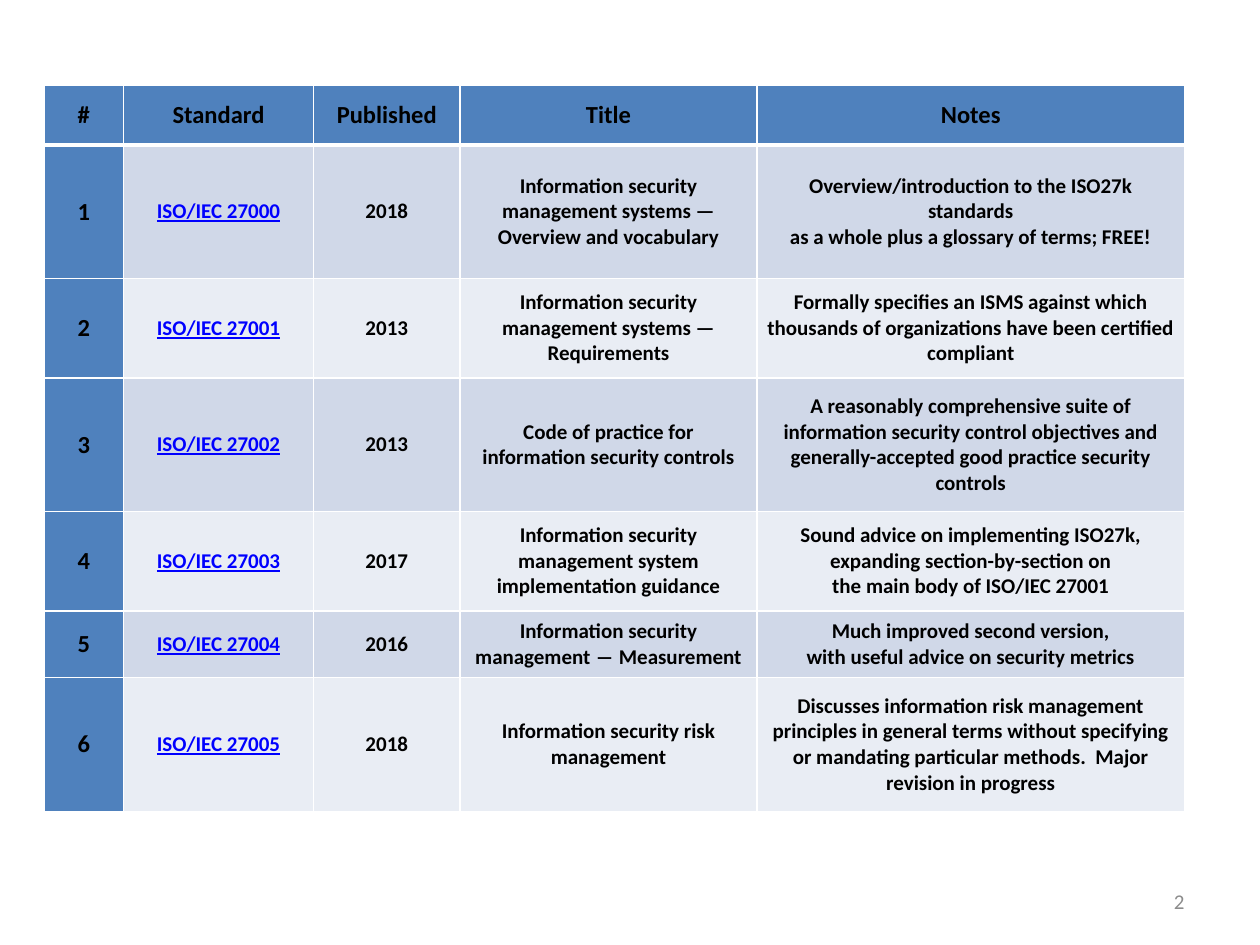
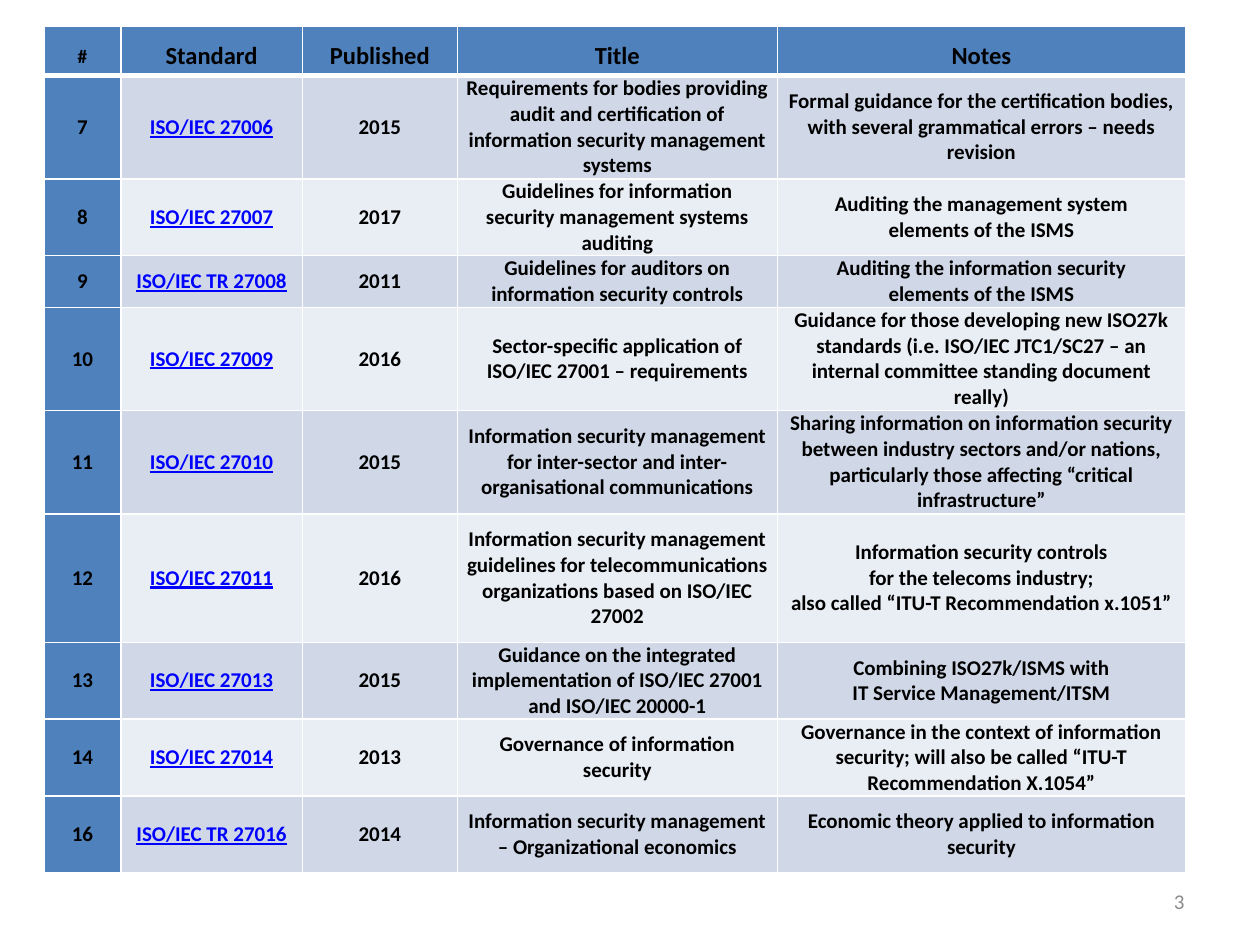
from dataclasses import dataclass

from lxml.etree import SubElement
from pptx import Presentation
from pptx.dml.color import RGBColor
from pptx.enum.text import MSO_ANCHOR, PP_ALIGN
from pptx.oxml.ns import qn
from pptx.util import Inches, Pt


@dataclass(frozen=True)
class Theme:
    """Colours, font and type sizes shared by the slides."""
    font: str = "Calibri"
    accent: str = "4F81BD"
    bands: tuple = ("D0D8E8", "E9EDF4")
    rule: str = "FFFFFF"
    ink: str = "000000"
    link: str = "0000FF"
    muted: str = "8C8C8C"
    heading: int = 14
    body: int = 12
    small: int = 11
    thin: int = 1
    thick: int = 3


THEME = Theme()
HEADINGS = ("#", "Standard", "Published", "Title", "Notes")
NUMBER, STANDARD, PUBLISHED, TITLE, NOTES = range(5)

CORE_STANDARDS = [
    ("1", "ISO/IEC 27000", "2018",
     "Information security management systems — Overview and vocabulary",
     "Overview/introduction\u00a0to the ISO27k standards\n"
     "as a whole plus a glossary of terms; FREE!"),
    ("2", "ISO/IEC 27001", "2013",
     "Information security management systems — Requirements",
     "Formally specifies an ISMS against which thousands of organizations "
     "have been certified compliant"),
    ("3", "ISO/IEC 27002", "2013",
     "Code of practice for\ninformation security controls",
     "A reasonably comprehensive suite of information security control "
     "objectives and generally-accepted good practice security controls"),
    ("4", "ISO/IEC 27003", "2017",
     "Information security management system implementation guidance",
     "Sound advice on implementing ISO27k,\nexpanding section-by-section on\n"
     "the main body of ISO/IEC 27001"),
    ("5", "ISO/IEC 27004", "2016",
     "Information security management \u2015 Measurement",
     "Much improved second version,\nwith useful advice on security metrics"),
    ("6", "ISO/IEC 27005", "2018",
     "Information security risk management",
     "Discusses information risk management principles in general terms "
     "without specifying or mandating particular methods.  Major revision "
     "in progress"),
]

SUPPORTING_STANDARDS = [
    ("7", "ISO/IEC 27006", "2015",
     "Requirements for bodies providing audit and certification of "
     "information security management systems",
     "Formal guidance for the certification bodies, with several "
     "grammatical errors – needs revision"),
    ("8", "ISO/IEC 27007", "2017",
     "Guidelines for information security management systems auditing",
     "Auditing the management system\nelements of the ISMS"),
    ("9", "ISO/IEC TR 27008", "2011",
     "Guidelines for auditors on\ninformation security controls",
     "Auditing the information security\nelements of the ISMS"),
    ("10", "ISO/IEC 27009", "2016",
     "Sector-specific application of ISO/IEC 27001 – requirements",
     "Guidance for those developing new ISO27k standards (i.e.\u00a0ISO/IEC "
     "JTC1/SC27 – an internal committee standing document really)"),
    ("11", "ISO/IEC 27010", "2015",
     "Information security management for inter-sector and "
     "inter-organisational communications",
     "Sharing information on information security between industry sectors "
     "and/or nations, particularly those affecting “critical infrastructure”"),
    ("12", "ISO/IEC 27011", "2016",
     "Information security management guidelines for telecommunications "
     "organizations based on ISO/IEC 27002",
     "Information security controls\nfor the telecoms industry;\n"
     "also called “ITU-T Recommendation x.1051”"),
    ("13", "ISO/IEC 27013", "2015",
     "Guidance on the integrated implementation of ISO/IEC 27001 and "
     "ISO/IEC 20000-1",
     "Combining ISO27k/ISMS with\nIT Service Management/ITSM"),
    ("14", "ISO/IEC 27014", "2013",
     "Governance of information security",
     "Governance in the context of information security; will also be "
     "called “ITU-T Recommendation X.1054”"),
    ("16", "ISO/IEC TR 27016", "2014",
     "Information security management – Organizational economics",
     "Economic theory applied to information security"),
]


def write(paragraph, text, size, colour, align, bold=False):
    """Fill a paragraph and set its font and alignment."""
    paragraph.text = text
    paragraph.alignment = align
    font = paragraph.font
    font.name, font.size, font.bold = THEME.font, Pt(size), bold
    font.color.rgb = RGBColor.from_string(colour)


def rule_cell(cell, edges):
    """Draw the given edges, a mapping of edge letter to width in points."""
    properties = cell._tc.get_or_add_tcPr()
    for edge, width in edges.items():
        line = SubElement(properties, qn(f"a:ln{edge}"), w=str(Pt(width)))
        fill = SubElement(line, qn("a:solidFill"))
        SubElement(fill, qn("a:srgbClr"), val=THEME.rule)


def style_cell(cell, text, fill, size, space, colour=THEME.ink, anchor=MSO_ANCHOR.MIDDLE):
    """Write centred bold text in a filled cell, with space before and after."""
    cell.margin_left = cell.margin_right = Inches(0.07)
    cell.margin_top = cell.margin_bottom = 0
    cell.vertical_anchor = anchor
    cell.fill.solid()
    cell.fill.fore_color.rgb = RGBColor.from_string(fill)
    paragraph = cell.text_frame.paragraphs[0]
    write(paragraph, text, size, colour, PP_ALIGN.CENTER, bold=True)
    paragraph.space_before, paragraph.space_after = map(Pt, space)
    return paragraph


def heading_cell(cell, text, small):
    """Build a header cell; a small one is centred vertically."""
    rule_cell(cell, {"L": THEME.thin, "R": THEME.thin, "T": THEME.thin, "B": THEME.thick})
    if small:
        paragraph = style_cell(cell, text, THEME.accent, THEME.small, (7.2, 7.2))
    else:
        paragraph = style_cell(cell, text, THEME.accent, THEME.heading, (4, 0),
                               anchor=MSO_ANCHOR.TOP)
    paragraph.line_spacing = 1.5


def body_cell(cell, column, text, band, number_size):
    """Build one cell of a standard's row."""
    rule_cell(cell, {"L": THEME.thin, "R": THEME.thin, "B": THEME.thin})
    paragraph = style_cell(
        cell, text,
        fill=THEME.accent if column == NUMBER else band,
        size=number_size if column == NUMBER else THEME.body,
        space=(3, 3) if column == TITLE else (7.2, 7.2),
        colour=THEME.link if column == STANDARD else THEME.ink)
    if column == STANDARD:
        paragraph.font.underline = True


def standards_table(slide, left, top, widths, heights, standards, number_size,
                    small_number_heading=False):
    """Place a banded table of standards at the given corner."""
    table = slide.shapes.add_table(
        len(heights), len(widths), Inches(left), Inches(top),
        Inches(sum(widths)), Inches(sum(heights))).table
    table.first_row = table.horz_banding = False
    for column, width in zip(table.columns, widths):
        column.width = Inches(width)
    for row, height in zip(table.rows, heights):
        row.height = Inches(height)
    for column, heading in enumerate(HEADINGS):
        heading_cell(table.cell(0, column), heading,
                     small_number_heading and column == NUMBER)
    for index, standard in enumerate(standards):
        band = THEME.bands[index % 2]
        for column, text in enumerate(standard):
            body_cell(table.cell(index + 1, column), column, text, band, number_size)


def page_number(slide, number, left=7.17, top=6.95, width=2.33, height=0.4):
    """Place the page number in the bottom right corner."""
    frame = slide.shapes.add_textbox(
        Inches(left), Inches(top), Inches(width), Inches(height)).text_frame
    frame.word_wrap = True
    frame.vertical_anchor = MSO_ANCHOR.MIDDLE
    write(frame.paragraphs[0], str(number), THEME.body, THEME.muted, PP_ALIGN.RIGHT)


def standards_slide(deck, number, **table):
    """Add a slide holding one table of standards and its page number."""
    slide = deck.slides.add_slide(deck.slide_layouts[6])
    standards_table(slide, left=0.35, **table)
    page_number(slide, number)


def main():
    """Build and save the deck."""
    deck = Presentation()
    deck.slide_width, deck.slide_height = Inches(10), Inches(7.5)
    standards_slide(
        deck, 2, top=0.68, standards=CORE_STANDARDS,
        widths=(0.63, 1.51, 1.16, 2.36, 3.39),
        heights=(0.47, 1.06, 0.79, 1.06, 0.79, 0.53, 1.06),
        number_size=THEME.heading)
    standards_slide(
        deck, 3, top=0.21, standards=SUPPORTING_STANDARDS,
        widths=(0.61, 1.44, 1.23, 2.54, 3.24),
        heights=(0.39, 0.82, 0.61, 0.41, 0.82, 0.82, 1.02, 0.61, 0.61, 0.61),
        number_size=THEME.body, small_number_heading=True)
    deck.save("out.pptx")


main()
